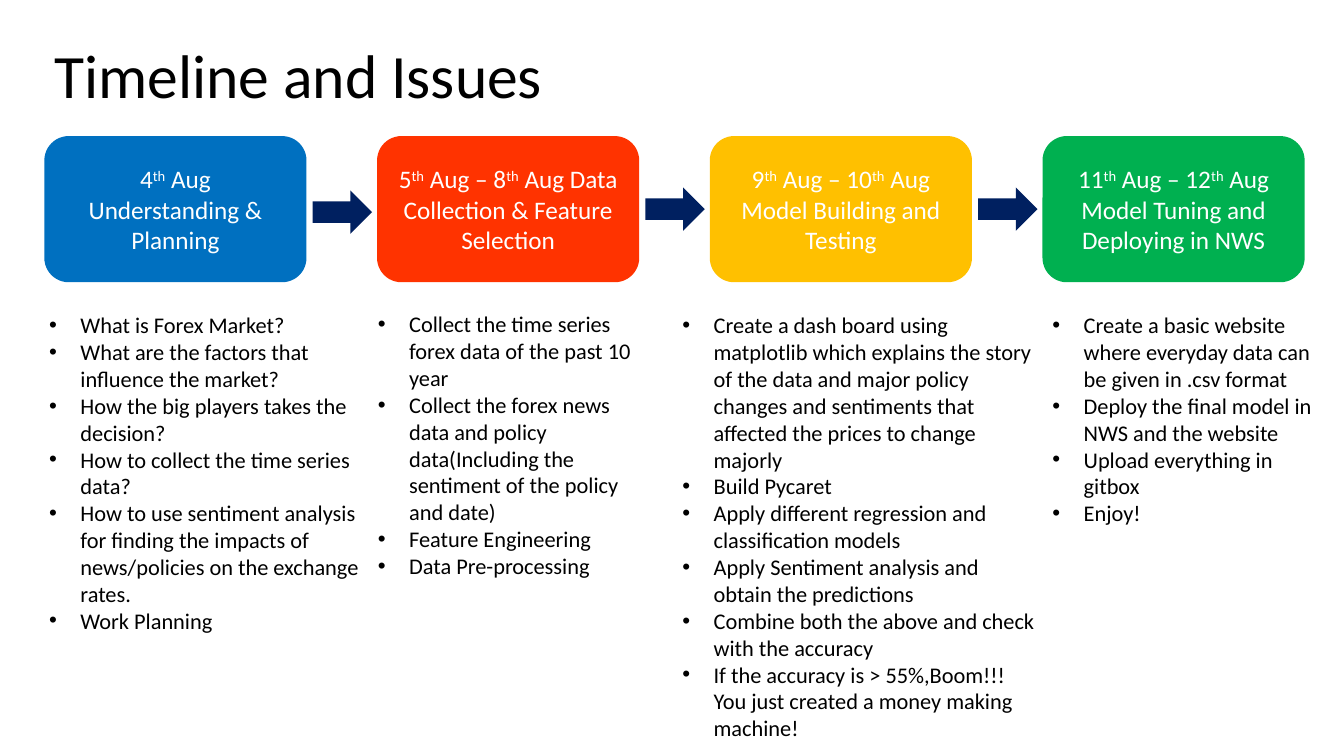
from lxml import etree
from pptx import Presentation
from pptx.dml.color import RGBColor
from pptx.enum.shapes import MSO_SHAPE
from pptx.enum.text import MSO_ANCHOR, MSO_AUTO_SIZE, PP_ALIGN
from pptx.oxml.ns import qn
from pptx.util import Inches, Pt

ROUNDED, ARROW = MSO_SHAPE.ROUNDED_RECTANGLE, MSO_SHAPE.RIGHT_ARROW
MIDDLE, CENTER = MSO_ANCHOR.MIDDLE, PP_ALIGN.CENTER
GROW = MSO_AUTO_SIZE.SHAPE_TO_FIT_TEXT

COLORS = {"text": "000000", "light": "FFFFFF", "arrow": "002060",
          "plan": "0070C0", "collect": "FF3300", "model": "FFC000", "deploy": "00B050"}
FONTS = {"title": {"name": "Calibri", "size": Pt(44)},
         "stage": {"name": "Calibri", "size": Pt(18)},
         "task": {"name": "Calibri", "size": Pt(16)}}

# Stage boxes and arrows share one step
LEFT, STEP, TOP, BOX_W, BOX_H = 0.44, 3.3, 1.35, 2.6, 1.45
ARROW_GAP, ARROW_W, ARROW_H = 0.06, 0.59, 0.43
ARROW_TOPS = [1.89, 1.86, 1.86]
INDENT = 0.31

# Colour and heading of each stage; parts between bars are superscript
STAGES = [
    ("plan", ["4|th| Aug", "Understanding & Planning"]),
    ("collect", ["5|th| Aug – 8|th| Aug Data Collection & Feature Selection"]),
    ("model", ["9|th| Aug – 10|th| Aug", "Model Building and Testing"]),
    ("deploy", ["11|th| Aug – 12|th| Aug", "Model Tuning and Deploying in NWS"]),
]

# Position and tasks of each list
TASKS = [
    ((0.39, 3.04, 3.3, 3.33), [
        "What is Forex Market?",
        "What are the factors that influence the market?",
        "How the big players takes the decision?",
        "How to collect the time series data?",
        "How to use sentiment analysis for finding the impacts of "
        "news/policies on the exchange rates.",
        "Work Planning"]),
    ((3.65, 3.03, 2.9, 2.79), [
        "Collect the time series forex data of the past 10 year",
        "Collect the forex news data and policy data(Including the "
        "sentiment of the policy and date)",
        "Feature Engineering",
        "Data Pre-processing"]),
    ((6.67, 3.04, 3.76, 4.41), [
        "Create a dash board using matplotlib which explains the story of the data and "
        "major policy changes and sentiments that affected the prices to change majorly",
        "Build Pycaret",
        "Apply different regression and classification models",
        "Apply Sentiment analysis and obtain the predictions",
        "Combine both the above and check with the accuracy",
        "If the accuracy is > 55%,Boom!!! You just created a money making machine!"]),
    ((10.34, 3.04, 2.9, 2.26), [
        "Create a basic website where everyday data can be given in .csv format",
        "Deploy the final model in NWS and the website",
        "Upload everything in gitbox",
        "Enjoy!"]),
]


def add_run(p, text, style, color, raised=False):
    r = p.add_run()
    r.text = text
    for key, value in FONTS[style].items():
        setattr(r.font, key, value)
    r.font.color.rgb = RGBColor.from_string(COLORS[color])
    if raised:
        r._r.get_or_add_rPr().set("baseline", "30000")


def add_paragraphs(tf, lines, style, color):
    for i, line in enumerate(lines):
        p = tf.add_paragraph() if i else tf.paragraphs[0]
        for j, part in enumerate(line.split("|")):
            add_run(p, part, style, color, raised=j % 2 == 1)
    return tf.paragraphs


def add_text(s, box, lines, style):
    tf = s.shapes.add_textbox(*map(Inches, box)).text_frame
    tf.word_wrap = True
    add_paragraphs(tf, lines, style, "text")
    return tf


def add_filled(s, kind, box, color):
    sp = s.shapes.add_shape(kind, *map(Inches, box))
    sp.shadow.inherit = False
    sp.fill.solid()
    sp.fill.fore_color.rgb = RGBColor.from_string(COLORS[color])
    sp.line.fill.background()
    return sp


def add_title(s, text):
    tf = add_text(s, (LEFT, 0.05, 11.5, 1.45), [text], "title")
    tf.vertical_anchor = MIDDLE
    tf.paragraphs[0].line_spacing = 0.9


def add_stage(s, left, color, lines):
    tf = add_filled(s, ROUNDED, (left, TOP, BOX_W, BOX_H), color).text_frame
    tf.word_wrap = True
    tf.vertical_anchor = MIDDLE
    for p in add_paragraphs(tf, lines, "stage", "light"):
        p.alignment = CENTER


def add_bullets(s, box, lines):
    tf = add_text(s, box, lines, "task")
    tf.auto_size = GROW
    for p in tf.paragraphs:
        pPr = p._p.get_or_add_pPr()
        pPr.set("marL", str(Inches(INDENT)))
        pPr.set("indent", str(-Inches(INDENT)))
        etree.SubElement(pPr, qn("a:buFont")).set("typeface", "Arial")
        etree.SubElement(pPr, qn("a:buChar")).set("char", "•")


def main():
    prs = Presentation()
    prs.slide_width, prs.slide_height = Inches(13.33), Inches(7.5)
    s = prs.slides.add_slide(prs.slide_layouts[6])

    add_title(s, "Timeline and Issues")

    # Timeline
    for i, (color, lines) in enumerate(STAGES):
        add_stage(s, LEFT + i * STEP, color, lines)
    for i, top in enumerate(ARROW_TOPS):
        left = LEFT + i * STEP + BOX_W + ARROW_GAP
        add_filled(s, ARROW, (left, top, ARROW_W, ARROW_H), "arrow")

    # Tasks below each stage
    for box, lines in TASKS:
        add_bullets(s, box, lines)

    prs.save("out.pptx")


if __name__ == "__main__":
    main()
